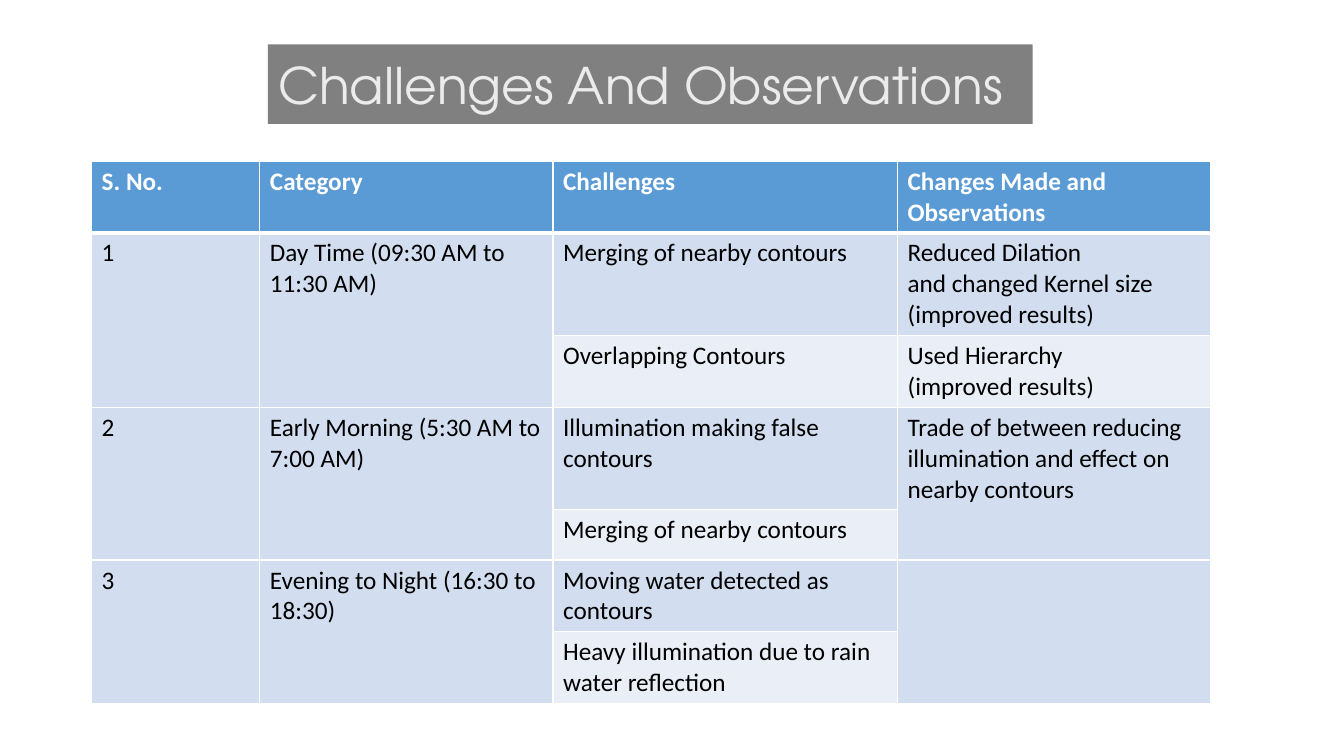
import pptx
import pptx.util
import pptx.dml.color
import pptx.enum.text
from lxml import etree
from pptx.oxml.ns import qn
from pptx.util import Inches, Pt

COLORS = {
    "title_fill": "808080",
    "title_text": "EBEBEB",
    "header": "5B9BD5",
    "band_dark": "D2DEEF",
    "band_light": "EAEFF7",
    "white": "FFFFFF",
    "black": "000000",
}
COL_WIDTHS = [1.67, 2.91, 3.42, 3.11]
ROW_HEIGHTS = [0.7, 1.01, 0.72, 1.01, 0.5, 0.71, 0.71]
ROWS = [
    ["S. No.", "Category", "Challenges", "Changes Made and Observations"],
    ["1", "Day Time (09:30 AM to 11:30 AM)", "Merging of nearby contours",
     "Reduced Dilation\nand changed Kernel size\n(improved results)"],
    ["", "", "Overlapping Contours", "Used Hierarchy\n(improved results)"],
    ["2", "Early Morning (5:30 AM to 7:00 AM)", "Illumination making false contours",
     "Trade of between reducing illumination and effect on nearby contours"],
    ["", "", "Merging of nearby contours", ""],
    ["3", "Evening to Night (16:30 to 18:30)", "Moving water detected as contours", ""],
    ["", "", "Heavy illumination due to rain water reflection", ""],
]
# (first row, column) of each pair of cells joined vertically
MERGES = [(1, 0), (1, 1), (3, 0), (3, 1), (3, 3), (5, 0), (5, 1), (5, 3)]


def rgb(name):
    return pptx.dml.color.RGBColor.from_string(COLORS[name])


def format_font(font, color, **values):
    for key, value in values.items():
        setattr(font, key, value)
    font.color.rgb = rgb(color)


def add_title(s, text):
    sp = s.shapes.title
    place = {"left": 2.66, "top": 0.44, "width": 7.59, "height": 0.79}
    for key, value in place.items():
        setattr(sp, key, Inches(value))
    sp.fill.solid()
    sp.fill.fore_color.rgb = rgb("title_fill")
    tf = sp.text_frame
    frame = {
        "text": text,
        "word_wrap": True,
        "auto_size": pptx.enum.text.MSO_AUTO_SIZE.NONE,
        "vertical_anchor": pptx.enum.text.MSO_ANCHOR.MIDDLE,
    }
    for key, value in frame.items():
        setattr(tf, key, value)
    p = tf.paragraphs[0]
    p.alignment = pptx.enum.text.PP_ALIGN.LEFT
    format_font(p.runs[0].font, "title_text", name="TeX Gyre Adventor", size=Pt(36))


def set_borders(cell, widths):
    """Draw white borders; widths maps L, R, T, B to points."""
    tc_pr = cell._tc.get_or_add_tcPr()
    for side, width in widths.items():
        ln = etree.SubElement(tc_pr, qn(f"a:ln{side}"), w=str(Pt(width)))
        fill = etree.SubElement(ln, qn("a:solidFill"))
        etree.SubElement(fill, qn("a:srgbClr"), val=COLORS["white"])


def fill_cell(cell, text, row, fill):
    header = row == 0
    set_borders(cell, {"L": 1, "R": 1, "T": 3 if row == 1 else 1, "B": 3 if header else 1})
    cell.fill.solid()
    cell.fill.fore_color.rgb = rgb(fill)
    cell.text_frame.text = text
    for p in cell.text_frame.paragraphs:
        format_font(p.font, "white" if header else "black",
                    name="Calibri", size=Pt(18), bold=header)
        for r in p.runs:
            format_font(r.font, "white" if header else "black",
                        name="Calibri", size=Pt(18), bold=header)


def add_challenges_table(s):
    frame = s.shapes.add_table(
        len(ROWS), len(COL_WIDTHS), Inches(0.91), Inches(1.6),
        Inches(sum(COL_WIDTHS)), Inches(sum(ROW_HEIGHTS)))
    table = frame.table
    for column, width in zip(table.columns, COL_WIDTHS):
        column.width = Inches(width)
    for row, height in zip(table.rows, ROW_HEIGHTS):
        row.height = Inches(height)
    joined = {(row + 1, col) for row, col in MERGES}
    for i, texts in enumerate(ROWS):
        for j, text in enumerate(texts):
            if i == 0:
                fill = "header"
            elif i % 2 or (i, j) in joined:
                fill = "band_dark"
            else:
                fill = "band_light"
            fill_cell(table.cell(i, j), text, i, fill)
    for row, col in MERGES:
        table.cell(row, col).merge(table.cell(row + 1, col))


def main():
    prs = pptx.Presentation()
    prs.slide_width = Inches(13.34)
    prs.slide_height = Inches(7.5)
    s = prs.slides.add_slide(prs.slide_layouts[5])
    add_challenges_table(s)
    add_title(s, "Challenges And Observations")
    prs.save("out.pptx")


if __name__ == "__main__":
    main()
